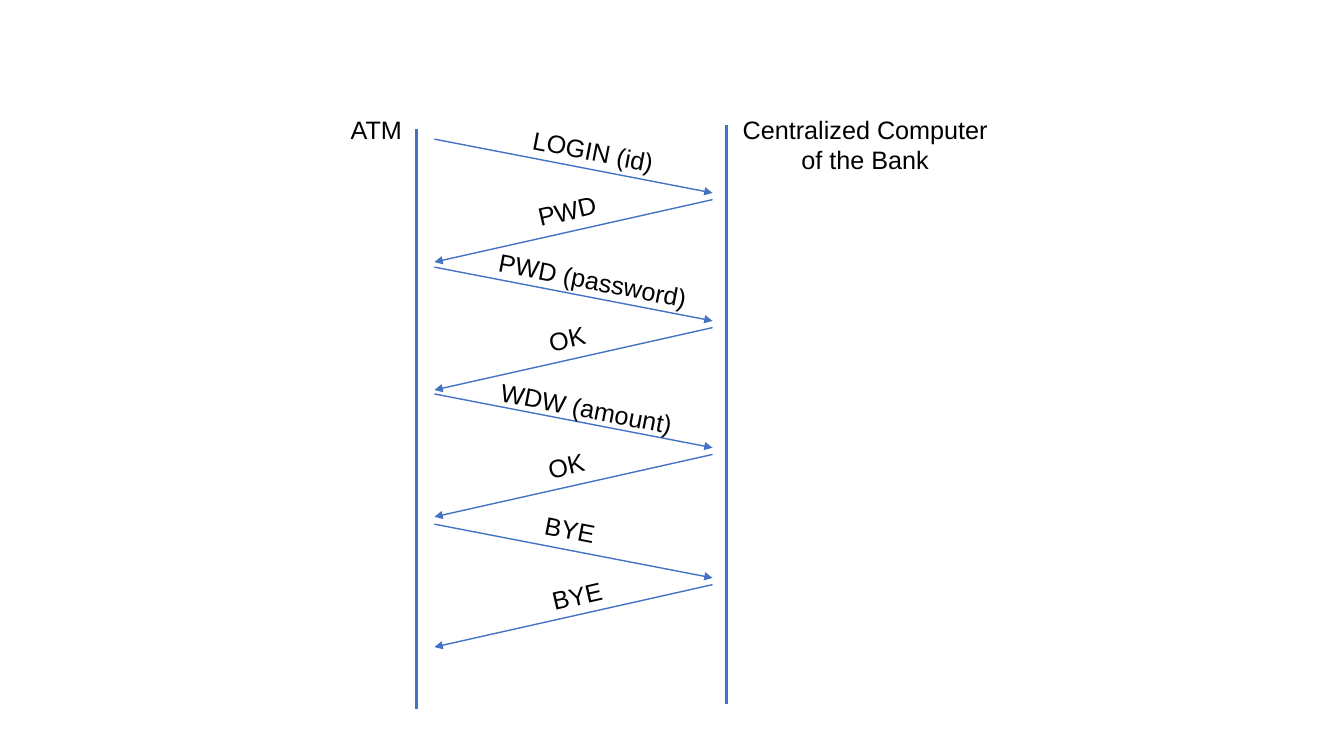
from lxml import etree
from pptx import Presentation
from pptx import util as u
from pptx.dml import color
from pptx.enum import shapes, text
from pptx.oxml import ns

COLORS = {"line": "4472C4", "text": "000000"}
ATM_X, BANK_X = 297.5, 519
ARROW_LEFT, ARROW_RIGHT = 310.3, 509
REQUEST_DROP, REPLY_DROP = 38.4, 44.6
REPLY_DELAY = 43.2
REQUEST_ANGLE, REPLY_ANGLE = 11, -12.9
LABEL_HEIGHT = 29

# Start of each request, then label text, width, centre x and centre below the start
EXCHANGES = [
    (99.4, ("LOGIN (id)", 117.4, 423.7, 8.6), ("PWD", 117.4, 405, 7.9)),
    (190.8, ("PWD (password)", 161.3, 423.4, 9.4), ("OK", 117.4, 405, 7.9)),
    (281.4, ("WDW (amount)", 145.4, 419, 10.1), ("OK", 117.4, 404.4, 7.9)),
    (374.4, ("BYE", 117.4, 407.2, 3.6), ("BYE", 117.4, 412.2, 7.9)),
]


class SequenceDiagram:
    def __init__(self, page):
        self.page = page
        self.font = "Arial"
        self.size = 18

    def line(self, start, end, width, arrow=False, parent=None):
        connector = (parent or self.page).shapes.add_connector(
            shapes.MSO_CONNECTOR.STRAIGHT, *(u.Pt(value) for value in start + end))
        connector.line.color.rgb = color.RGBColor.from_string(COLORS["line"])
        connector.line.width = u.Pt(width)
        properties = connector._element.spPr
        if arrow:
            outline = properties.find(ns.qn("a:ln"))
            etree.SubElement(outline, ns.qn("a:tailEnd"), type="triangle")
        etree.SubElement(properties, ns.qn("a:effectLst"))

    def label(self, words, left, top, width, height=LABEL_HEIGHT,
              align=text.PP_ALIGN.CENTER, angle=0, parent=None):
        box = (parent or self.page).shapes.add_textbox(
            *(u.Pt(value) for value in (left, top, width, height)))
        box.rotation = angle
        box.text_frame.word_wrap = True
        box.text_frame.auto_size = text.MSO_AUTO_SIZE.SHAPE_TO_FIT_TEXT
        para = box.text_frame.paragraphs[0]
        para.alignment = align
        span = para.add_run()
        span.text = words
        span.font.name = self.font
        span.font.size = u.Pt(self.size)
        span.font.color.rgb = color.RGBColor.from_string(COLORS["text"])

    def message(self, start, end, caption, angle):
        """Group an arrow with its slanted caption."""
        words, width, center, below = caption
        group = self.page.shapes.add_group_shape()
        self.line(start, end, 1, arrow=True, parent=group)
        top = start[1] + below - LABEL_HEIGHT / 2
        self.label(words, center - width / 2, top, width, angle=angle, parent=group)


def main():
    deck = Presentation()
    deck.slide_width, deck.slide_height = u.Pt(960), u.Pt(540)
    diagram = SequenceDiagram(deck.slides.add_slide(deck.slide_layouts[6]))

    for x, top in ((ATM_X, 92.4), (BANK_X, 89.2)):
        diagram.line((x, top), (x, top + 414), 2)
    diagram.label("ATM", 243.4, 78, 66, align=text.PP_ALIGN.LEFT)
    diagram.label("Centralized Computer of the Bank", 519, 78, 198, height=51)

    for y, request, reply in EXCHANGES:
        diagram.message((ARROW_LEFT, y), (ARROW_RIGHT, y + REQUEST_DROP),
                        request, REQUEST_ANGLE)
        back = y + REPLY_DELAY
        diagram.message((ARROW_RIGHT, back), (ARROW_LEFT, back + REPLY_DROP),
                        reply, REPLY_ANGLE)

    deck.save("out.pptx")


if __name__ == "__main__":
    main()
